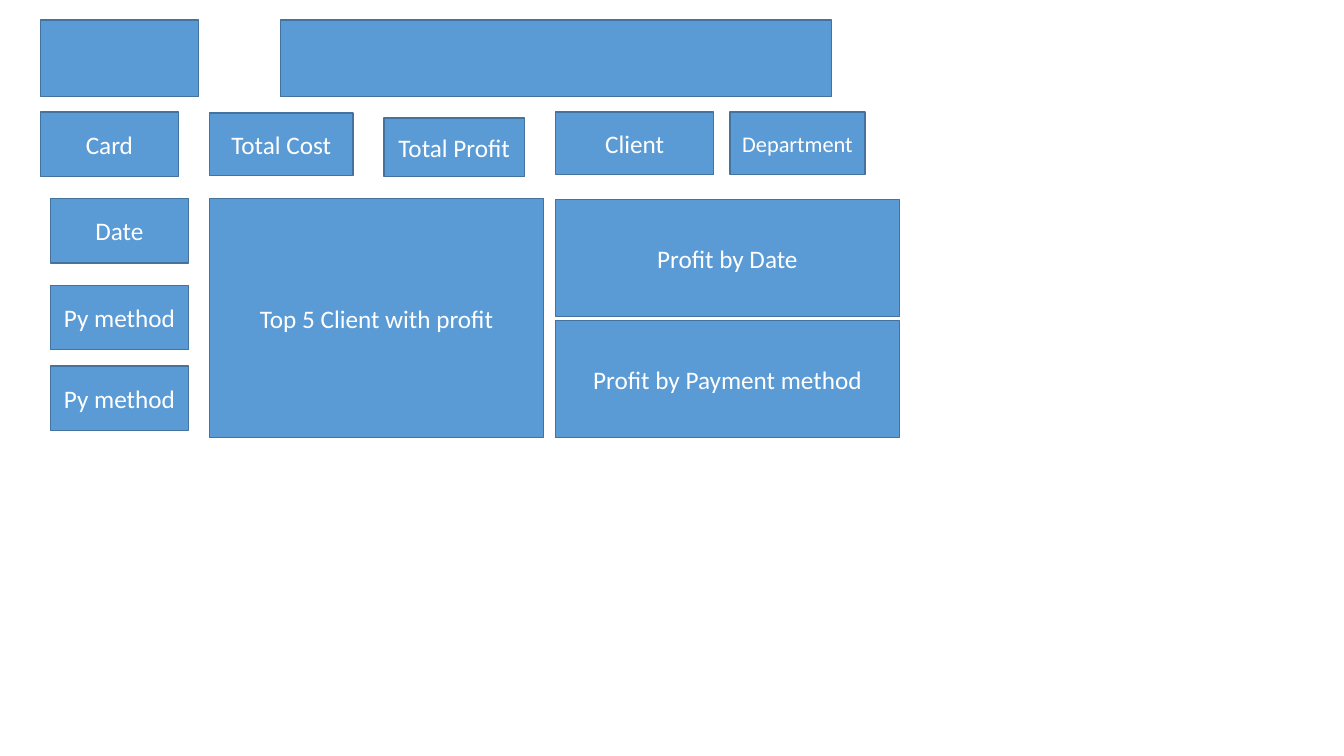
"""Build a dashboard wireframe slide of labelled blocks."""
import pptx
import pptx.util
import pptx.dml.color
import pptx.enum.shapes
import pptx.enum.text
from dataclasses import dataclass

Inches = pptx.util.Inches
RGB = pptx.dml.color.RGBColor.from_string


@dataclass
class Theme:
    fill: str = "5B9BD5"
    line: str = "43739E"
    text: str = "FFFFFF"
    font: str = "Calibri"
    body: int = 18
    small: int = 16


theme = Theme()
prs = pptx.Presentation()
prs.slide_width = Inches(13.33)
prs.slide_height = Inches(7.5)
s = prs.slides.add_slide(prs.slide_layouts[6])


def add_block(left, top, width, height, label="", size=theme.body):
    sp = s.shapes.add_shape(pptx.enum.shapes.MSO_SHAPE.RECTANGLE,
                            Inches(left), Inches(top), Inches(width), Inches(height))
    sp.shadow.inherit = False
    sp.fill.solid()
    sp.fill.fore_color.rgb = RGB(theme.fill)
    sp.line.color.rgb = RGB(theme.line)
    sp.line.width = pptx.util.Pt(1)
    if not label:
        return
    tf = sp.text_frame
    tf.word_wrap = True
    tf.vertical_anchor = pptx.enum.text.MSO_ANCHOR.MIDDLE
    p = tf.paragraphs[0]
    p.alignment = pptx.enum.text.PP_ALIGN.CENTER
    r = p.add_run()
    r.text = label
    r.font.name = theme.font
    r.font.size = pptx.util.Pt(size)
    r.font.color.rgb = RGB(theme.text)


add_block(2.08, 1.97, 3.31, 2.37, "Top 5 Client with profit")

for left, width in [(2.78, 5.47), (0.4, 1.57)]:
    add_block(left, 0.2, width, 0.76)

cards = [
    (0.4, 1.11, 1.37, 0.64, "Card"),
    (2.08, 1.12, 1.42, 0.62, "Total Cost"),
    (3.81, 1.17, 1.39, 0.58, "Total Profit"),
    (5.51, 1.11, 1.57, 0.62, "Client"),
    (7.24, 1.11, 1.34, 0.62, "Department", theme.small),
]
for card in cards:
    add_block(*card)

for top, label in [(1.97, "Date"), (2.83, "Py method"), (3.63, "Py method")]:
    add_block(0.5, top, 1.37, 0.64, label)

for i, label in enumerate(["Profit by Date", "Profit by Payment method"]):
    add_block(5.51, 1.98 + i * 1.2, 3.41, 1.16, label)

prs.save("out.pptx")
